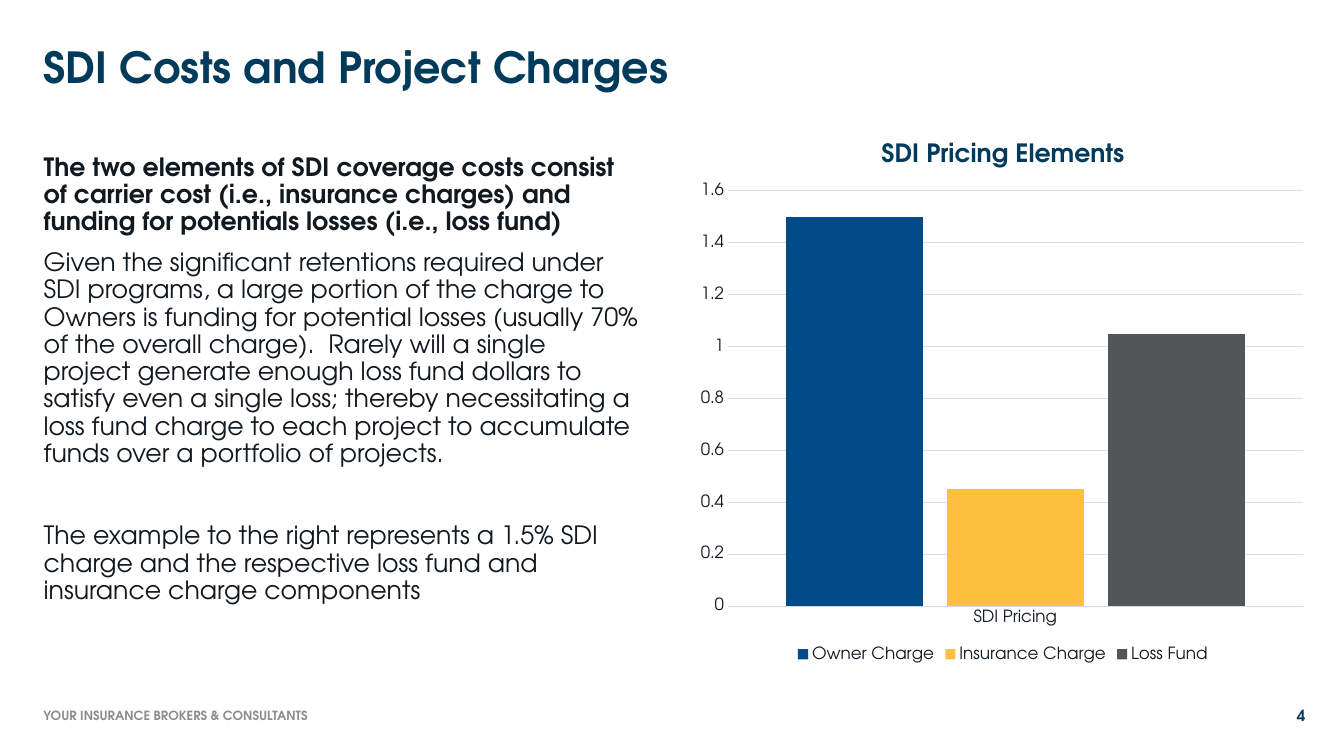
from dataclasses import dataclass

from lxml import etree
from pptx import Presentation
from pptx.chart.data import CategoryChartData
from pptx.dml.color import RGBColor
from pptx.enum.chart import XL_CHART_TYPE, XL_LEGEND_POSITION, XL_TICK_MARK
from pptx.enum.text import MSO_ANCHOR, MSO_AUTO_SIZE, PP_ALIGN
from pptx.oxml import parse_xml
from pptx.oxml.ns import nsdecls, qn
from pptx.util import Pt

COLUMNS = XL_CHART_TYPE.COLUMN_CLUSTERED
LEGEND_BOTTOM = XL_LEGEND_POSITION.BOTTOM
NO_TICKS = XL_TICK_MARK.NONE
MIDDLE, TOP = MSO_ANCHOR.MIDDLE, MSO_ANCHOR.TOP
LEFT, RIGHT = PP_ALIGN.LEFT, PP_ALIGN.RIGHT
NO_AUTOFIT = MSO_AUTO_SIZE.NONE


@dataclass(frozen=True)
class Theme:
    font: str = "TeX Gyre Adventor"
    navy: str = "003B5C"
    ink: str = "101820"
    grey: str = "8C8C8D"
    axis: str = "D1DCE8"
    grid: str = "DEDFDD"
    title_size: float = 30.6
    body_size: float = 18
    chart_size: float = 12
    number_size: float = 11
    footer_size: float = 9


THEME = Theme()

# Text, bold, space before
BODY = [
    ("The two elements of SDI coverage costs consist of carrier cost (i.e., insurance "
     "charges) and funding for potentials losses (i.e., loss fund)", True, 0),
    ("Given the significant retentions required under SDI programs, a large portion of "
     "the charge to Owners is funding for potential losses (usually 70% of the overall "
     "charge).  Rarely will a single project generate enough loss fund dollars to satisfy "
     "even a single loss; thereby necessitating a loss fund charge to each project to "
     "accumulate funds over a portfolio of projects.", False, 10),
    ("The example to the right represents a 1.5% SDI charge and the respective loss fund "
     "and insurance charge components", False, 39.5),
]

# Series name, value, colour
PRICING = [
    ("Owner Charge", 1.5, "004B87"),
    ("Insurance Charge", 0.45, "FFBF3F"),
    ("Loss Fund", 1.05, "535659"),
]


def style_font(font, size, color, bold=False):
    font.name = THEME.font
    font.size = Pt(size)
    font.bold = bold
    font.color.rgb = RGBColor.from_string(color)


def place(shape, left, top, width, height):
    shape.left, shape.top = Pt(left), Pt(top)
    shape.width, shape.height = Pt(width), Pt(height)


def prepare_frame(shape, anchor):
    frame = shape.text_frame
    frame.word_wrap = True
    frame.auto_size = NO_AUTOFIT
    frame.vertical_anchor = anchor
    return frame


def fill_title(shape, text):
    place(shape, 24, 28.8, 824.4, 41.8)
    paragraph = prepare_frame(shape, MIDDLE).paragraphs[0]
    paragraph.text = text
    paragraph.alignment = LEFT
    paragraph.line_spacing = 0.9
    style_font(paragraph.font, THEME.title_size, THEME.navy, True)


def fill_body(shape):
    place(shape, 24, 106.6, 439.2, 368.6)
    frame = prepare_frame(shape, TOP)
    for index, (text, bold, space) in enumerate(BODY):
        paragraph = frame.add_paragraph() if index else frame.paragraphs[0]
        paragraph.text = text
        paragraph.line_spacing = 0.9
        paragraph.space_before = Pt(space)
        properties = paragraph._p.get_or_add_pPr()
        properties.set("marL", "0")
        properties.set("indent", "0")
        etree.SubElement(properties, qn("a:buNone"))
        style_font(paragraph.font, THEME.body_size, THEME.ink, bold)


def add_label(slide, text, left, width, size, color, alignment=LEFT):
    label = slide.shapes.add_textbox(Pt(left), Pt(496.8), Pt(width), Pt(28.8))
    paragraph = prepare_frame(label, MIDDLE).paragraphs[0]
    paragraph.text = text
    paragraph.alignment = alignment
    style_font(paragraph.font, size, color, True)


def set_plot_area(chart, x, y, width, height):
    plot_area = chart._chartSpace.chart.plotArea
    for layout in plot_area.findall(qn("c:layout")):
        plot_area.remove(layout)
    plot_area.insert(0, parse_xml(
        f'<c:layout {nsdecls("c")}><c:manualLayout><c:layoutTarget val="inner"/>'
        '<c:xMode val="edge"/><c:yMode val="edge"/>'
        f'<c:x val="{x}"/><c:y val="{y}"/><c:w val="{width}"/><c:h val="{height}"/>'
        '</c:manualLayout></c:layout>'))


def add_pricing_chart(slide):
    data = CategoryChartData()
    data.categories = ["SDI Pricing"]
    for name, value, _ in PRICING:
        data.add_series(name, [value])
    chart = slide.shapes.add_chart(
        COLUMNS, Pt(493.2), Pt(85.7), Pt(446.4), Pt(390.2), data).chart
    style_font(chart.font, THEME.chart_size, THEME.ink)

    # Title and legend
    chart.has_title = True
    heading = chart.chart_title.text_frame.paragraphs[0]
    heading.text = "SDI Pricing Elements"
    style_font(heading.font, THEME.body_size, THEME.navy, True)
    chart.chart_title.include_in_layout = False
    chart.has_legend = True
    chart.legend.position = LEGEND_BOTTOM
    chart.legend.include_in_layout = False
    style_font(chart.legend.font, THEME.chart_size, THEME.ink)

    # Columns
    plot = chart.plots[0]
    plot.gap_width, plot.overlap = 85, -18
    plot.vary_by_categories = False
    for series, (_, _, color) in zip(plot.series, PRICING):
        series.format.fill.solid()
        series.format.fill.fore_color.rgb = RGBColor.from_string(color)

    # Axes
    values, categories = chart.value_axis, chart.category_axis
    for axis in (values, categories):
        axis.major_tick_mark = axis.minor_tick_mark = NO_TICKS
        style_font(axis.tick_labels.font, THEME.chart_size, THEME.ink)
    values.minimum_scale, values.maximum_scale, values.major_unit = 0, 1.6, 0.2
    values.format.line.fill.background()
    for line, color in ((values.major_gridlines.format.line, THEME.grid),
                        (categories.format.line, THEME.axis)):
        line.width = Pt(0.75)
        line.color.rgb = RGBColor.from_string(color)
    set_plot_area(chart, 0.06, 0.13, 0.92, 0.76)


def main():
    presentation = Presentation()
    presentation.slide_width, presentation.slide_height = Pt(960), Pt(540)
    slide = presentation.slides.add_slide(presentation.slide_layouts[1])

    fill_title(slide.shapes.title, "SDI Costs and Project Charges")
    fill_body(slide.placeholders[1])
    add_pricing_chart(slide)

    # Footer
    add_label(slide, "4", 890.6, 49, THEME.number_size, THEME.navy, RIGHT)
    add_label(slide, "YOUR INSURANCE BROKERS & CONSULTANTS", 24, 232.6,
              THEME.footer_size, THEME.grey)

    presentation.save("out.pptx")


if __name__ == "__main__":
    main()
